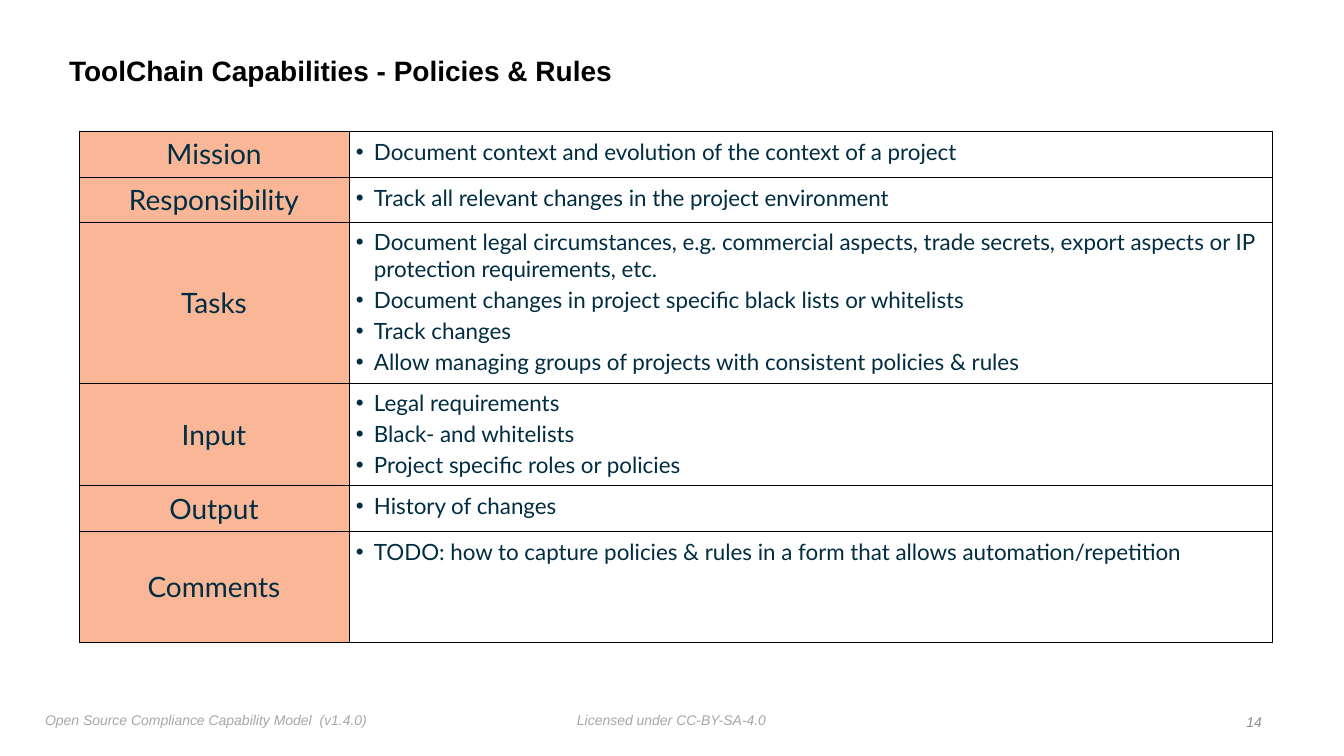
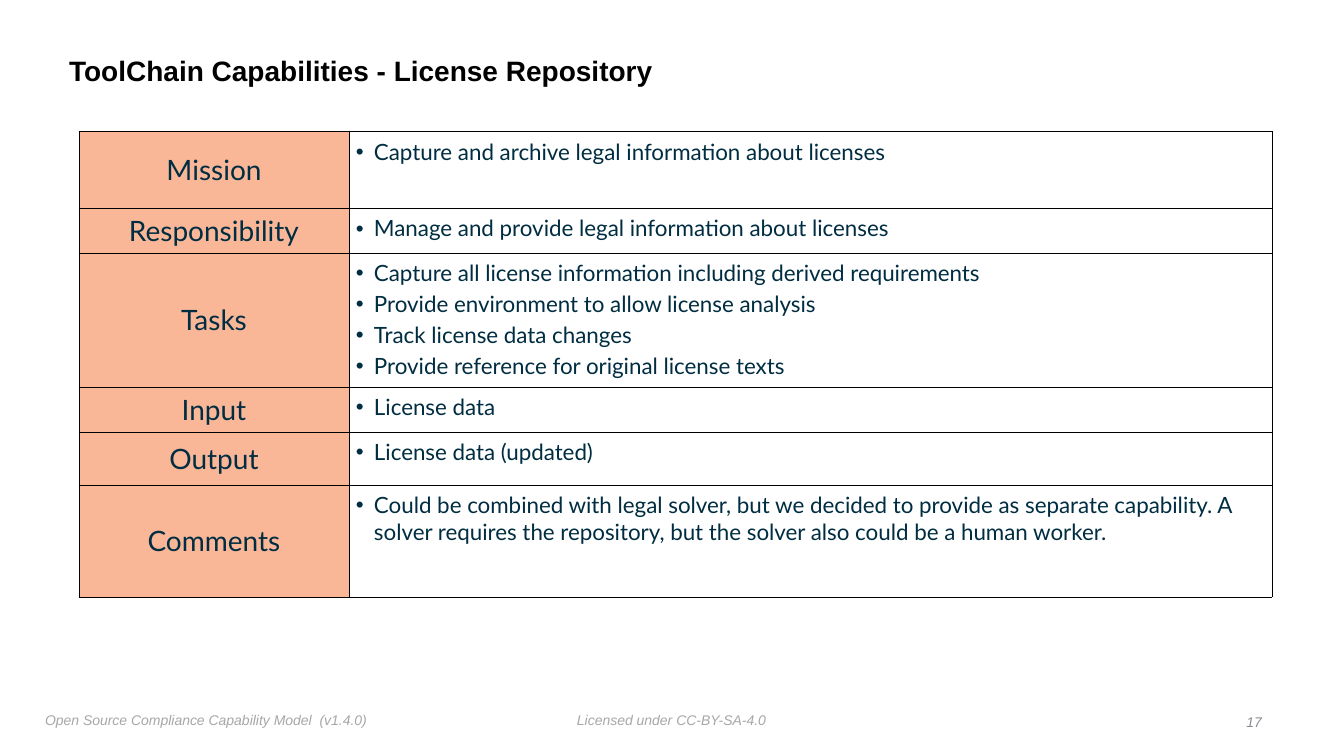
from lxml.etree import SubElement
from pptx import Presentation
from pptx.dml.color import RGBColor
from pptx.enum.text import MSO_ANCHOR, MSO_AUTO_SIZE, PP_ALIGN
from pptx.oxml.ns import qn
from pptx.util import Emu, Pt

SLIDE_WIDTH, SLIDE_HEIGHT = 1344, 756
EMU_PER_PX = 12192000 / SLIDE_WIDTH
TITLE_ONLY = 5

INK, LABEL_FILL, CELL_FILL, GRID = "002D41", "FAB798", "FFFFFF", "000000"
TITLE_FONT = {"name": "Arial", "size": Pt(20), "bold": True, "color": "000000"}
FOOTER_FONT = {"name": "Arial", "size": Pt(10), "italic": True, "color": "A7A7A7"}
NUMBER_FONT = {**FOOTER_FONT, "color": "888C91"}
LABEL_FONT = {"name": "Lato", "size": Pt(20), "bold": False, "color": INK}
ITEM_FONT = {**LABEL_FONT, "size": Pt(16)}

TITLE_BOX = (64, 39, 1084, 66)
TABLE_BOX = (79, 131, 1193)
LICENSE_BOX = (572, 707, 201, 25)
MODEL_BOX = (40, 707, 335, 27)
NUMBER_BOX = (1240, 709, 27, 25)
LABEL_WIDTH = 270
FRAME_INSET, ITEM_INSET, ITEM_INDENT = 5, 7, 18

CAPABILITIES = [
    {
        "number": 14,
        "title": "ToolChain Capabilities - Policies & Rules",
        "rows": [
            ("Mission", 46, ["Document context and evolution of the context of a project"]),
            ("Responsibility", 45, ["Track all relevant changes in the project environment"]),
            ("Tasks", 161, [
                "Document legal circumstances, e.g. commercial aspects, trade secrets, "
                "export aspects or IP protection requirements, etc.",
                "Document changes in project specific black lists or whitelists",
                "Track changes",
                "Allow managing groups of projects with consistent policies & rules",
            ]),
            ("Input", 102, [
                "Legal requirements",
                "Black- and whitelists",
                "Project specific roles or policies",
            ]),
            ("Output", 46, ["History of changes"]),
            ("Comments", 111, [
                "TODO: how to capture policies & rules in a form that allows "
                "automation/repetition",
            ]),
        ],
    },
    {
        "number": 17,
        "title": "ToolChain Capabilities - License Repository",
        "rows": [
            ("Mission", 77, ["Capture and archive legal information about licenses"]),
            ("Responsibility", 45, ["Manage and provide legal information about licenses"]),
            ("Tasks", 134, [
                "Capture all license information including derived requirements",
                "Provide environment to allow license analysis",
                "Track license data changes",
                "Provide reference for original license texts",
            ]),
            ("Input", 45, ["License data"]),
            ("Output", 53, ["License data (updated)"]),
            ("Comments", 112, [
                "Could be combined with legal solver, but we decided to provide as "
                "separate capability. A solver requires the repository, but the solver "
                "also could be a human worker.",
            ]),
        ],
    },
]


def px(length):
    return Emu(round(length * EMU_PER_PX))


def rgb(value):
    return RGBColor.from_string(value)


def write(paragraph, text, style):
    run = paragraph.add_run()
    run.text = text
    for attribute, value in style.items():
        if attribute == "color":
            run.font.color.rgb = rgb(value)
        else:
            setattr(run.font, attribute, value)


def set_margins(holder, inset):
    for side in ("left", "top", "right", "bottom"):
        setattr(holder, f"margin_{side}", px(inset))


def place_title(slide, text, box):
    title = slide.shapes.title
    for side, length in zip(("left", "top", "width", "height"), box):
        setattr(title, side, px(length))
    frame = title.text_frame
    frame.auto_size = MSO_AUTO_SIZE.NONE
    frame.vertical_anchor = MSO_ANCHOR.MIDDLE
    set_margins(frame, FRAME_INSET)
    heading = frame.paragraphs[0]
    heading.alignment = PP_ALIGN.LEFT
    heading.line_spacing = 0.9
    write(heading, text, TITLE_FONT)


def add_footer_text(slide, text, box, style, align=PP_ALIGN.LEFT, anchor=MSO_ANCHOR.TOP):
    frame = slide.shapes.add_textbox(*map(px, box)).text_frame
    frame.word_wrap = False
    frame.auto_size = MSO_AUTO_SIZE.SHAPE_TO_FIT_TEXT
    frame.vertical_anchor = anchor
    set_margins(frame, FRAME_INSET)
    frame.paragraphs[0].alignment = align
    write(frame.paragraphs[0], text, style)


def add_footer(slide, number):
    add_footer_text(slide, "Licensed under CC-BY-SA-4.0", LICENSE_BOX, FOOTER_FONT)
    add_footer_text(slide, "Open Source Compliance Capability Model  (v1.4.0)",
                    MODEL_BOX, FOOTER_FONT)
    add_footer_text(slide, str(number), NUMBER_BOX, NUMBER_FONT,
                    PP_ALIGN.RIGHT, MSO_ANCHOR.MIDDLE)


def style_cell(cell, fill, inset, anchor):
    """Draw the grid lines first: they must precede the fill in the cell's XML."""
    properties = cell._tc.get_or_add_tcPr()
    for edge in ("a:lnL", "a:lnR", "a:lnT", "a:lnB"):
        line = SubElement(properties, qn(edge), w=str(Pt(0.5)))
        SubElement(SubElement(line, qn("a:solidFill")), qn("a:srgbClr"), val=GRID)
    cell.fill.solid()
    cell.fill.fore_color.rgb = rgb(fill)
    cell.vertical_anchor = anchor
    set_margins(cell, inset)


def fill_label(cell, text):
    style_cell(cell, LABEL_FILL, 0, MSO_ANCHOR.MIDDLE)
    label = cell.text_frame.paragraphs[0]
    label.alignment = PP_ALIGN.CENTER
    write(label, text, LABEL_FONT)


def fill_items(cell, items):
    style_cell(cell, CELL_FILL, ITEM_INSET, MSO_ANCHOR.TOP)
    frame = cell.text_frame
    for index, text in enumerate(items):
        item = frame.add_paragraph() if index else frame.paragraphs[0]
        properties = item._p.get_or_add_pPr()
        properties.set("marL", str(px(ITEM_INDENT)))
        properties.set("indent", str(px(-ITEM_INDENT)))
        SubElement(properties, qn("a:buFont"), typeface="Arial")
        SubElement(properties, qn("a:buChar"), char="•")
        if index:
            item.space_before = Pt(3)
        write(item, text, ITEM_FONT)


def add_capability_table(slide, rows, box):
    left, top, width = box
    height = sum(row_height for _, row_height, _ in rows)
    table = slide.shapes.add_table(len(rows), 2, *map(px, (left, top, width, height))).table
    table.first_row = table.horz_banding = False
    for column, column_width in zip(table.columns, (LABEL_WIDTH, width - LABEL_WIDTH)):
        column.width = px(column_width)
    for index, (label, row_height, items) in enumerate(rows):
        table.rows[index].height = px(row_height)
        fill_label(table.cell(index, 0), label)
        fill_items(table.cell(index, 1), items)


def add_capability_slide(deck, capability):
    slide = deck.slides.add_slide(deck.slide_layouts[TITLE_ONLY])
    place_title(slide, capability["title"], TITLE_BOX)
    add_capability_table(slide, capability["rows"], TABLE_BOX)
    add_footer(slide, capability["number"])


def main():
    deck = Presentation()
    deck.slide_width, deck.slide_height = px(SLIDE_WIDTH), px(SLIDE_HEIGHT)
    for capability in CAPABILITIES:
        add_capability_slide(deck, capability)
    deck.save("out.pptx")


if __name__ == "__main__":
    main()
